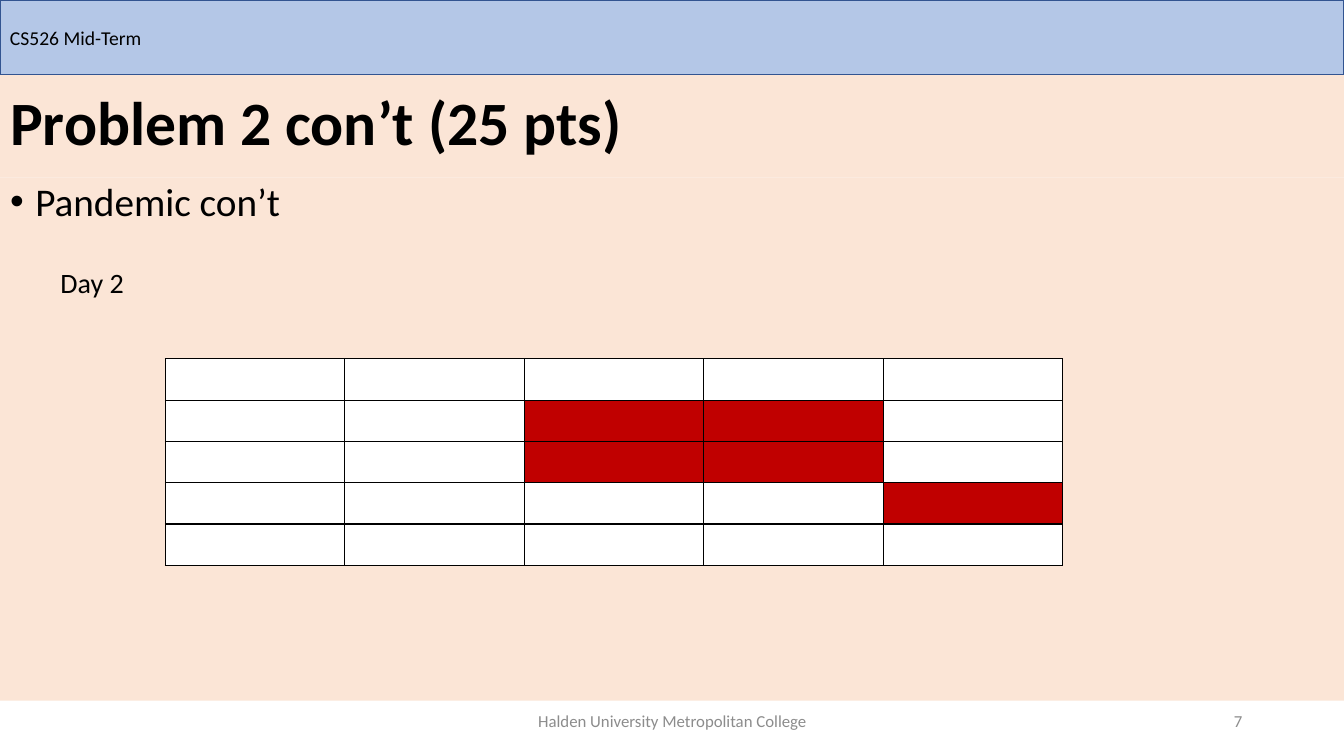
from dataclasses import dataclass

from lxml.etree import SubElement
from pptx import Presentation
from pptx.dml.color import RGBColor
from pptx.enum.shapes import MSO_SHAPE
from pptx.enum.text import MSO_ANCHOR, MSO_AUTO_SIZE, PP_ALIGN
from pptx.oxml.ns import qn
from pptx.table import _Cell
from pptx.util import Inches, Pt

COLORS = {
    "peach": "FBE5D6",
    "banner": "B4C7E7",
    "banner_line": "325491",
    "black": "000000",
    "gray": "8C8C8C",
    "healthy": "FFFFFF",
    "infected": "C00000",
}
FONT = "Calibri"
SLIDE_WIDTH = 13.33
GRID_SIZE = 5
COLUMN_WIDTH = 1.78
ROW_HEIGHT = 0.41
INFECTED_CELLS = {(1, 2), (1, 3), (2, 2), (2, 3), (3, 4)}


@dataclass
class FooterText:
    text: str
    left: float
    width: float
    align: PP_ALIGN


FOOTERS = [
    FooterText("Halden University Metropolitan College", 4.42, 4.5, PP_ALIGN.CENTER),
    FooterText("7", 9.42, 3, PP_ALIGN.RIGHT),
]


def color(name: str) -> RGBColor:
    return RGBColor.from_string(COLORS[name])


def place(shape, left: float, top: float, width: float, height: float) -> None:
    shape.left, shape.top = Inches(left), Inches(top)
    shape.width, shape.height = Inches(width), Inches(height)


def fill_solid(target, name: str) -> None:
    target.fill.solid()
    target.fill.fore_color.rgb = color(name)


def set_frame(shape, anchor: MSO_ANCHOR) -> None:
    frame = shape.text_frame
    frame.word_wrap = True
    frame.auto_size = MSO_AUTO_SIZE.NONE
    frame.vertical_anchor = anchor


def write(paragraph, text: str, *, size: float, ink: str = "black", bold: bool = False,
          align: PP_ALIGN = PP_ALIGN.LEFT, line_spacing: float = 1.0,
          space_before: float = 0) -> None:
    paragraph.alignment = align
    paragraph.line_spacing = line_spacing
    paragraph.space_before = Pt(space_before)
    run = paragraph.add_run()
    run.text = text
    run.font.name = FONT
    run.font.size = Pt(size)
    run.font.bold = bold
    run.font.color.rgb = color(ink)


def set_bullet(paragraph, margin: float, indent: float, character: str = "") -> None:
    properties = paragraph._p.get_or_add_pPr()
    properties.set("marL", str(Inches(margin)))
    properties.set("indent", str(Inches(indent)))
    if character:
        SubElement(properties, qn("a:buFont"), typeface="Arial")
        SubElement(properties, qn("a:buChar"), char=character)
    else:
        SubElement(properties, qn("a:buNone"))


def set_borders(cell: _Cell) -> None:
    properties = cell._tc.get_or_add_tcPr()
    for side in ("lnL", "lnR", "lnT", "lnB"):
        line = SubElement(properties, qn(f"a:{side}"), w=str(Pt(1)))
        solid = SubElement(line, qn("a:solidFill"))
        SubElement(solid, qn("a:srgbClr"), val=COLORS["black"])


def add_title(slide) -> None:
    title = slide.shapes.title
    place(title, 0, 0.74, SLIDE_WIDTH, 1.02)
    fill_solid(title, "peach")
    set_frame(title, MSO_ANCHOR.MIDDLE)
    write(title.text_frame.paragraphs[0], "Problem 2 con’t (25 pts)",
          size=44, bold=True, line_spacing=0.9)


def add_body(slide) -> None:
    body = slide.placeholders[1]
    place(body, 0, 1.76, SLIDE_WIDTH, 5.19)
    fill_solid(body, "peach")
    set_frame(body, MSO_ANCHOR.TOP)
    topic = body.text_frame.paragraphs[0]
    write(topic, "Pandemic con’t", size=28, line_spacing=0.9, space_before=10)
    set_bullet(topic, 0.25, -0.25, "•")
    day = body.text_frame.add_paragraph()
    day.level = 1
    write(day, "Day 2", size=20, line_spacing=0.9, space_before=32)
    set_bullet(day, 0.5, 0)


def add_banner(slide) -> None:
    banner = slide.shapes.add_shape(
        MSO_SHAPE.RECTANGLE, 0, 0, Inches(SLIDE_WIDTH), Inches(0.74))
    banner.shadow.inherit = False
    fill_solid(banner, "banner")
    banner.line.color.rgb = color("banner_line")
    banner.line.width = Pt(1)
    set_frame(banner, MSO_ANCHOR.MIDDLE)
    write(banner.text_frame.paragraphs[0], "CS526 Mid-Term", size=14)


def add_footer(slide, footer: FooterText) -> None:
    box = slide.shapes.add_textbox(
        Inches(footer.left), Inches(6.95), Inches(footer.width), Inches(0.4))
    set_frame(box, MSO_ANCHOR.MIDDLE)
    write(box.text_frame.paragraphs[0], footer.text,
          size=12, ink="gray", align=footer.align)


def add_infection_grid(slide) -> None:
    table = slide.shapes.add_table(
        GRID_SIZE, GRID_SIZE, Inches(1.64), Inches(3.56),
        Inches(COLUMN_WIDTH * GRID_SIZE), Inches(ROW_HEIGHT * GRID_SIZE)).table
    table.first_row = False
    table.horz_banding = False
    for column in table.columns:
        column.width = Inches(COLUMN_WIDTH)
    for row_index, row in enumerate(table.rows):
        row.height = Inches(ROW_HEIGHT)
        for column_index, cell in enumerate(row.cells):
            set_borders(cell)
            infected = (row_index, column_index) in INFECTED_CELLS
            fill_solid(cell, "infected" if infected else "healthy")


def main() -> None:
    presentation = Presentation()
    presentation.slide_width = Inches(SLIDE_WIDTH)
    presentation.slide_height = Inches(7.5)
    slide = presentation.slides.add_slide(presentation.slide_layouts[1])
    add_title(slide)
    add_body(slide)
    add_banner(slide)
    for footer in FOOTERS:
        add_footer(slide, footer)
    add_infection_grid(slide)
    presentation.save("out.pptx")


if __name__ == "__main__":
    main()
